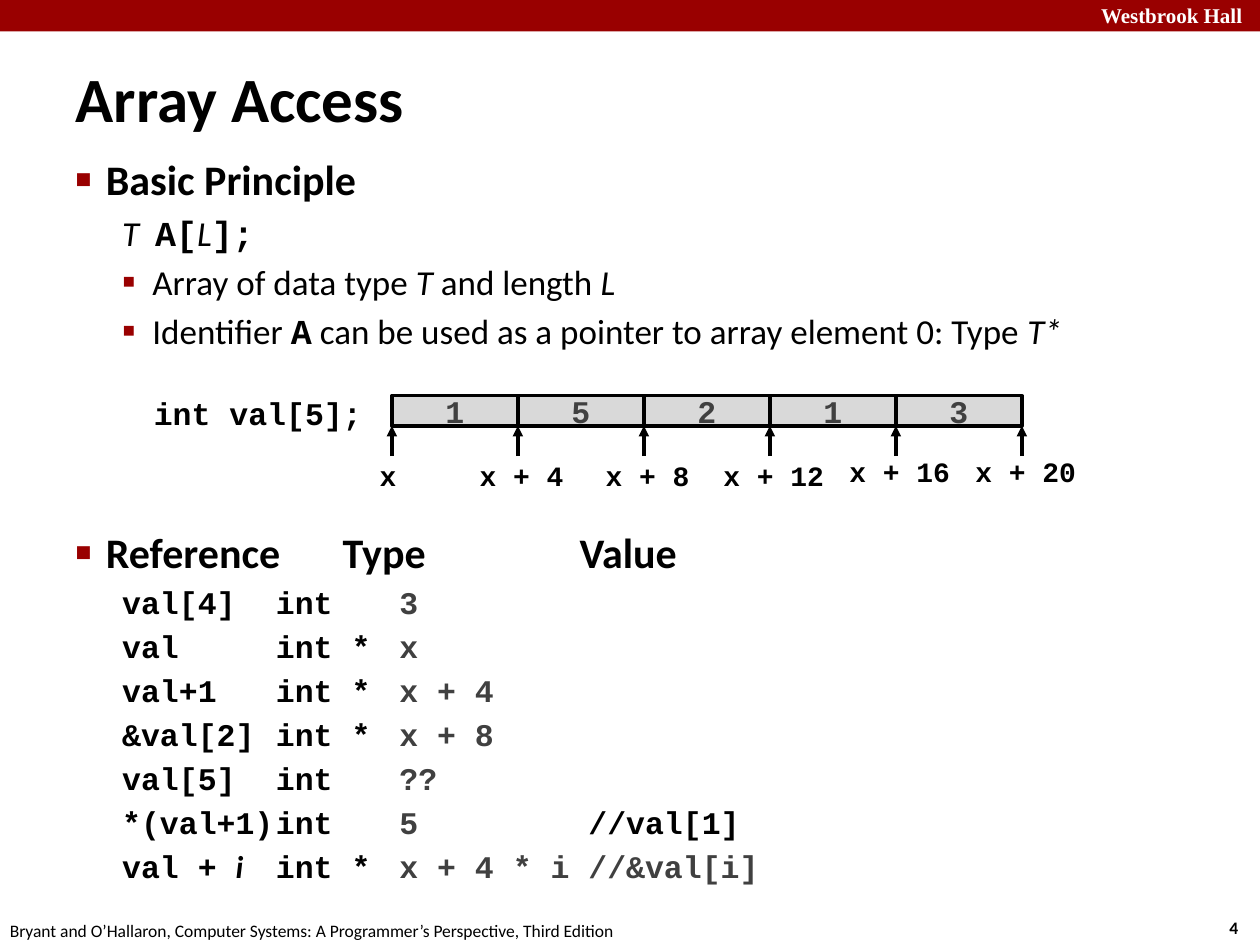
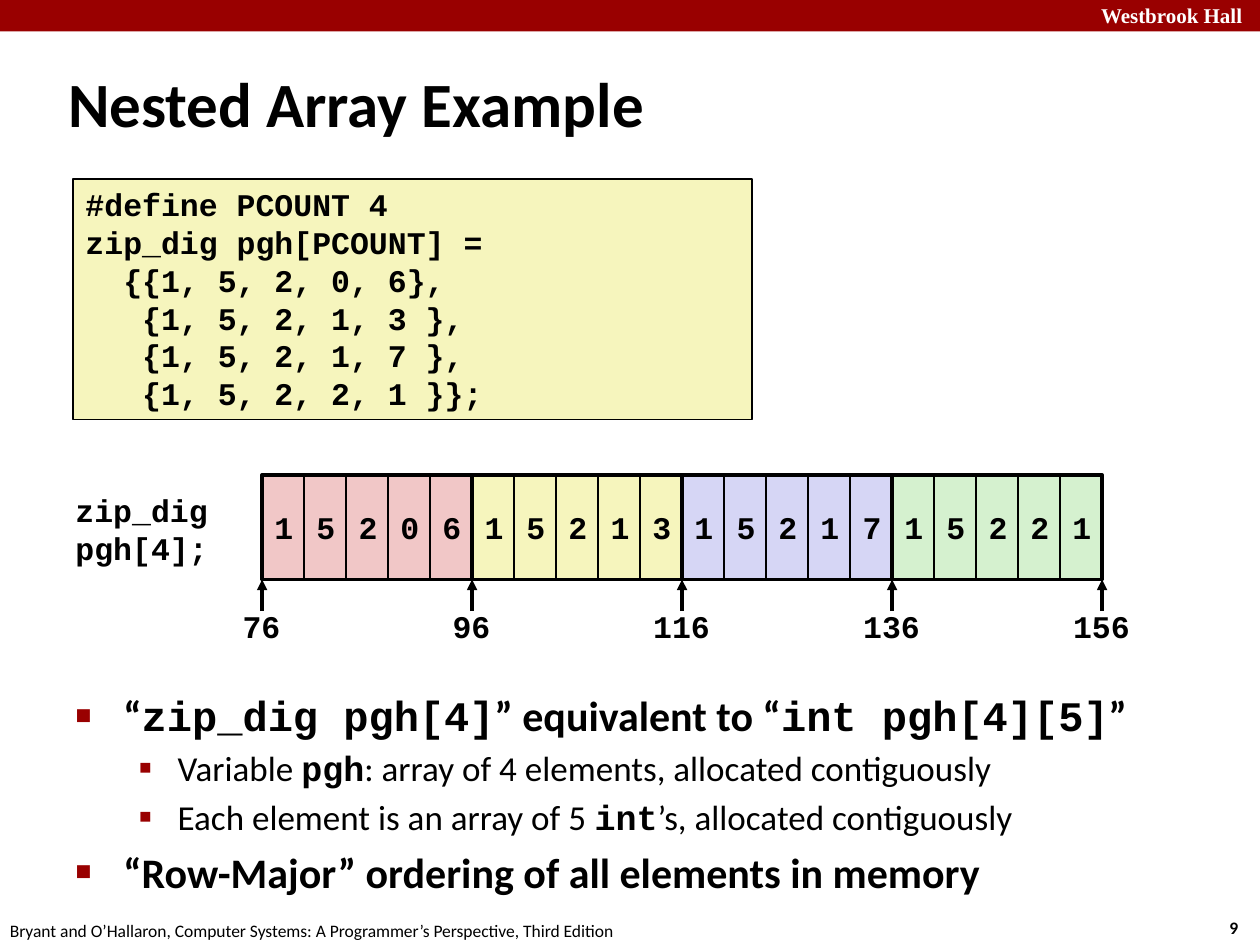
from lxml import etree
from pptx import Presentation
from pptx.dml.color import RGBColor
from pptx.enum import shapes, text
from pptx.oxml.ns import qn
from pptx.util import Inches, Pt

RED, BLACK, WHITE = "990000", "000000", "FFFFFF"
GREY, CELL_GREY = "404040", "D9D9D9"
PINK, YELLOW, LILAC, GREEN = "F1C7C7", "F6F5BD", "D6D6F5", "D5F1CF"
SANS, MONO, SERIF = "Calibri", "Courier New", "Times New Roman"
LEFT, CENTER, RIGHT = text.PP_ALIGN.LEFT, text.PP_ALIGN.CENTER, text.PP_ALIGN.RIGHT
TOP, MIDDLE = text.MSO_ANCHOR.TOP, text.MSO_ANCHOR.MIDDLE

# Run styles: font, bold, italic, colour
STYLES = {
    "plain": (SANS, False, False, BLACK),
    "bold": (SANS, True, False, BLACK),
    "italic": (SANS, False, True, BLACK),
    "index": (SANS, True, True, BLACK),
    "code": (MONO, True, False, BLACK),
    "value": (MONO, True, False, GREY),
}
# Bullet character and its size in percent
HEAD_BULLET, SUB_BULLET, NO_BULLET = ("■", 40), ("▪", 110), None


def rgb(colour):
    return RGBColor.from_string(colour)


def add_box(slide, left, top, width, height, content="", size=18, font=MONO,
            colour=BLACK, bold=True, align=LEFT, anchor=TOP, wrap=False,
            fill=None, line=None):
    """Add a text box, or a rectangle when a fill or a line width is given."""
    place = [Inches(v) for v in (left, top, width, height)]
    if fill or line:
        box = slide.shapes.add_shape(shapes.MSO_SHAPE.RECTANGLE, *place)
        box.shadow.inherit = False
        if fill:
            box.fill.solid()
            box.fill.fore_color.rgb = rgb(fill)
        else:
            box.fill.background()
        if line:
            box.line.color.rgb = rgb(BLACK)
            box.line.width = Pt(line)
        else:
            box.line.fill.background()
    else:
        box = slide.shapes.add_textbox(*place)
    if content:
        frame = box.text_frame
        frame.word_wrap = wrap
        frame.vertical_anchor = anchor
        frame.text = content
        for paragraph in frame.paragraphs:
            paragraph.alignment = align
            paragraph.font.size = Pt(size)
            paragraph.font.name = font
            paragraph.font.bold = bold
            paragraph.font.color.rgb = rgb(colour)


prs = Presentation()
prs.slide_width, prs.slide_height = Inches(10), Inches(7.5)

# Body rows: bullet, text size, runs
access_rows = [
    (HEAD_BULLET, 24, [("Basic Principle", "bold")]),
    (NO_BULLET, 20, [("T  ", "italic"), ("A[", "code"), ("L", "italic"), ("];", "code")]),
    (SUB_BULLET, 20, [("Array of data type ", "plain"), ("T", "italic"),
                      (" and length ", "plain"), ("L", "italic")]),
    (SUB_BULLET, 20, [("Identifier ", "plain"), ("A", "code"),
                      (" can be used as a pointer to array element 0: Type ", "plain"),
                      ("T*", "italic")]),
    (HEAD_BULLET, 24, [("Reference\tType\tValue", "bold")]),
    (NO_BULLET, 18, [("val[4]\tint\t", "code"), ("3", "value")]),
    (NO_BULLET, 18, [("val\tint *\t", "code"), ("x", "value")]),
    (NO_BULLET, 18, [("val+1\tint *\t", "code"), ("x + 4", "value")]),
    (NO_BULLET, 18, [("&val[2]\tint *\t", "code"), ("x + 8", "value")]),
    (NO_BULLET, 18, [("val[5]\tint\t", "code"), ("??", "value")]),
    (NO_BULLET, 18, [("*(val+1)\tint\t", "code"), ("5", "value"),
                     ("         //val[1]", "code")]),
    (NO_BULLET, 18, [("val + ", "code"), ("i\t", "index"), ("int *\t", "code"),
                     ("x + 4 * i //&val[i]", "value")]),
]
nested_rows = [
    (HEAD_BULLET, 24, [("“", "bold"), ("zip_dig pgh[4]", "code"),
                       ("” equivalent to “", "bold"), ("int pgh[4][5]", "code"),
                       ("”", "bold")]),
    (SUB_BULLET, 20, [("Variable ", "plain"), ("pgh", "code"),
                      (": array of 4 elements, allocated contiguously", "plain")]),
    (SUB_BULLET, 20, [("Each element is an array of 5 ", "plain"), ("int", "code"),
                      ("’s, allocated contiguously", "plain")]),
    (HEAD_BULLET, 24, [("“Row-Major” ordering of all elements in memory", "bold")]),
]

# Number, title, title place, body place, rows, (left, hanging) of both levels
pages = [
    ("4", "Array Access", (0.5, 0.46, 6.08, 0.63), (0.5, 1.17, 8.82, 6.25),
     access_rows, [(0.24, 0.24), (0.61, 0.24)]),
    ("9", "Nested Array Example", (0.44, 0.5, 6.97, 0.63), (0.5, 5.42, 8.75, 2.08),
     nested_rows, [(0.38, 0.38), (0.81, 0.31)]),
]

for number, heading, title_place, body_place, rows, indents in pages:
    slide = prs.slides.add_slide(prs.slide_layouts[1])
    title, body = slide.placeholders[0], slide.placeholders[1]
    for holder, place, anchor in ((title, title_place, MIDDLE), (body, body_place, TOP)):
        holder.left, holder.top, holder.width, holder.height = map(Inches, place)
        holder.text_frame.auto_size = text.MSO_AUTO_SIZE.NONE
        holder.text_frame.word_wrap = True
        holder.text_frame.vertical_anchor = anchor

    title.text_frame.text = heading
    title_line = title.text_frame.paragraphs[0]
    title_line.alignment = LEFT
    title_line.font.name, title_line.font.size = SANS, Pt(36)
    title_line.font.bold = True
    title_line.font.color.rgb = rgb(BLACK)

    for i, (bullet, size, runs) in enumerate(rows):
        frame = body.text_frame
        row = frame.add_paragraph() if i else frame.paragraphs[0]
        row.level = 0 if bullet == HEAD_BULLET else 1
        row.font.size = Pt(size)
        # The reference list starts below the array diagram
        starts_list = runs[0][0].startswith("Reference")
        row.space_before = Pt(100 if starts_list else 0.2 * size)
        for words, style in runs:
            run = row.add_run()
            run.text = words
            run.font.size = Pt(size)
            run.font.name, run.font.bold, run.font.italic, colour = STYLES[style]
            run.font.color.rgb = rgb(colour)

        props = row._p.get_or_add_pPr()
        margin, hanging = indents[row.level]
        props.set("marL", str(Inches(margin)))
        props.set("indent", str(-Inches(hanging)))
        if bullet:
            mark, percent = bullet
            bullet_colour = etree.SubElement(props, qn("a:buClr"))
            etree.SubElement(bullet_colour, qn("a:srgbClr"), val=RED)
            etree.SubElement(props, qn("a:buSzPct"), val=str(percent * 1000))
            etree.SubElement(props, qn("a:buFont"), typeface=SANS)
            etree.SubElement(props, qn("a:buChar"), char=mark)
        else:
            # Code columns follow evenly spaced default tab stops
            props.set("defTabSz", str(Inches(0.98)))
            etree.SubElement(props, qn("a:buNone"))
        if starts_list:
            stops = etree.SubElement(props, qn("a:tabLst"))
            for stop in (2.12, 4):
                etree.SubElement(stops, qn("a:tab"), pos=str(Inches(stop)), algn="l")

    add_box(slide, 0, 0, 10, 0.25, fill=RED)
    add_box(slide, 8.64, -0.03, 1.43, 0.3, "Westbrook Hall", 12, SERIF, WHITE, wrap=True)
    add_box(slide, 9.66, 7.23, 0.37, 0.27, number, 10, SANS)
    add_box(slide, -0.02, 7.25, 5.08, 0.27,
            "Bryant and O’Hallaron, Computer Systems: A Programmer’s Perspective, Third Edition",
            10, SANS, bold=False)

access, nested = prs.slides
arrows = []  # slide, x, start y, end y

# Array of five integers with its addresses
val_left = 3.11
add_box(access, 1.11, 3.08, 1.86, 0.4, "int val[5];", align=RIGHT, wrap=True)
for i, digit in enumerate("15213"):
    add_box(access, val_left + i, 3.14, 1, 0.24, digit, colour=GREY, align=CENTER,
            anchor=MIDDLE, fill=CELL_GREY, line=2)
for i in range(6):
    address = f"x + {4 * i}" if i else "x"
    shift = 0.03 if i else -0.03
    add_box(access, val_left + i + shift - 0.54, 3.59 if i < 4 else 3.56, 1.08, 0.37,
            address, 16, align=CENTER, wrap=True)
    arrows.append((access, val_left + i, 3.62, 3.38))

# Declaration of the nested array
declaration = """#define PCOUNT 4
zip_dig pgh[PCOUNT] =
  {{1, 5, 2, 0, 6},
   {1, 5, 2, 1, 3 },
   {1, 5, 2, 1, 7 },
   {1, 5, 2, 2, 1 }};"""
add_box(nested, 0.58, 1.42, 5.39, 1.91, declaration, wrap=True, fill=YELLOW, line=1)

# Four zip codes of five digits in a row of memory
pgh_left, pgh_top, pgh_height = 2.08, 3.77, 0.83
digit_width = 1 / 3
zip_width = 5 * digit_width
zip_codes = [("15206", PINK), ("15213", YELLOW), ("15217", LILAC), ("15221", GREEN)]
add_box(nested, 0.5, 3.85, 1.25, 0.7, "zip_dig\npgh[4];")
for i, (zip_code, colour) in enumerate(zip_codes):
    for j, digit in enumerate(zip_code):
        add_box(nested, pgh_left + i * zip_width + j * digit_width, pgh_top, digit_width,
                pgh_height, digit, anchor=MIDDLE, fill=colour, line=1)
for i in range(len(zip_codes)):
    add_box(nested, pgh_left + i * zip_width, pgh_top, zip_width, pgh_height, line=2.25)
for i in range(len(zip_codes) + 1):
    tick = pgh_left + i * zip_width
    add_box(nested, tick - 0.33, 4.77, 0.65, 0.4, str(76 + 20 * i), align=CENTER)
    arrows.append((nested, tick, 4.85, 4.6))

for slide, x, start, end in arrows:
    arrow = slide.shapes.add_connector(shapes.MSO_CONNECTOR.STRAIGHT, Inches(x),
                                       Inches(start), Inches(x), Inches(end))
    arrow.line.color.rgb = rgb(BLACK)
    arrow.line.width = Pt(2)
    etree.SubElement(arrow.line._get_or_add_ln(), qn("a:tailEnd"), type="triangle")
    etree.SubElement(arrow._element.spPr, qn("a:effectLst"))

prs.save("out.pptx")
